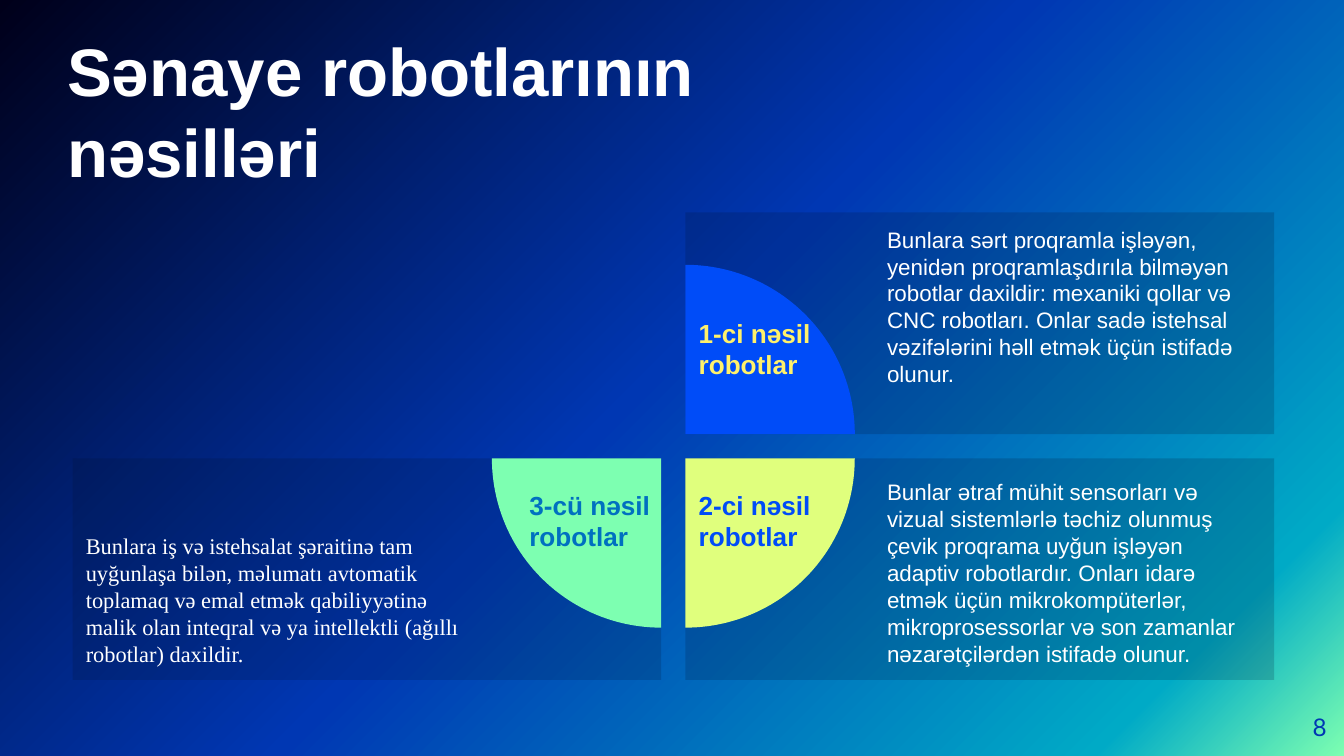
from lxml import etree
from pptx import Presentation
from pptx.dml.color import RGBColor
from pptx.enum import shapes, text
from pptx.oxml import parse_xml
from pptx.oxml.ns import nsdecls, qn
from pptx.util import Inches, Pt

WHITE = RGBColor(0xFF, 0xFF, 0xFF)
NAVY = RGBColor(0x00, 0x12, 0x30)
ROYAL = RGBColor(0x00, 0x37, 0xB3)
BLUE = RGBColor(0x00, 0x4C, 0xF8)
SKY = RGBColor(0x00, 0x70, 0xC0)
LIME = RGBColor(0xE0, 0xFF, 0x7D)
MINT = RGBColor(0x7D, 0xFF, 0xB1)
YELLOW = RGBColor(0xFF, 0xF1, 0x6B)
TEAL = RGBColor(0x00, 0xAA, 0xC6)
MIDNIGHT = RGBColor(0x00, 0x00, 0x1A)

TOP, BOTTOM = text.MSO_ANCHOR.TOP, text.MSO_ANCHOR.BOTTOM

# Content
TITLE = "Sənaye robotlarının nəsilləri"
PAGE_NUMBER = "8"
BACKGROUND = [(0, MINT), (12, TEAL), (51, ROYAL), (100, MIDNIGHT)]
GENERATIONS = [
    dict(label="1-ci nəsil robotlar", ink=YELLOW, fill=BLUE, col=1, row=0, turn=90,
         label_at=(5.1, 2.26), font="Arial", anchor=TOP,
         body="Bunlara sərt proqramla işləyən, yenidən proqramlaşdırıla bilməyən "
              "robotlar daxildir: mexaniki qollar və CNC robotları. Onlar sadə "
              "istehsal vəzifələrini həll etmək üçün istifadə olunur."),
    dict(label="2-ci nəsil robotlar", ink=BLUE, fill=LIME, col=1, row=1, turn=180,
         label_at=(5.1, 3.54), font="Arial", anchor=BOTTOM,
         body="Bunlar ətraf mühit sensorları və vizual sistemlərlə təchiz olunmuş "
              "çevik proqrama uyğun işləyən adaptiv robotlardır. Onları idarə etmək "
              "üçün mikrokompüterlər, mikroprosessorlar və son zamanlar "
              "nəzarətçilərdən istifadə olunur."),
    dict(label="3-cü nəsil robotlar", ink=SKY, fill=MINT, col=0, row=1, turn=270,
         label_at=(3.84, 3.54), font="Times New Roman", anchor=BOTTOM,
         body="Bunlara iş və istehsalat şəraitinə tam uyğunlaşa bilən, məlumatı "
              "avtomatik toplamaq və emal etmək qabiliyyətinə malik olan inteqral "
              "və ya intellektli (ağıllı robotlar) daxildir."),
]

# Panel grid: the pie quarters meet around the gap between the panels
LEFT, UPPER = 0.54, 1.58
PANEL_W, PANEL_H, GAP = 4.38, 1.65, 0.18
RADIUS = 1.26
PAD, PIE_PAD = 0.1, 1.5


def write(shape, words, size, color, font="Arial", bold=False, anchor=TOP,
          align=text.PP_ALIGN.LEFT, insets=(0, 0, 0, 0), after=0):
    frame = shape.text_frame
    frame.word_wrap = True
    frame.vertical_anchor = anchor
    (frame.margin_left, frame.margin_top,
     frame.margin_right, frame.margin_bottom) = map(Inches, insets)
    para = frame.paragraphs[0]
    para.alignment = align
    para.space_after = Pt(after)
    span = para.add_run()
    span.text = words
    span.font.name, span.font.size, span.font.bold = font, Pt(size), bold
    span.font.color.rgb = color


def add_textbox(page, *place):
    return page.shapes.add_textbox(*map(Inches, place))


def add_filled(page, kind, place, color):
    shape = page.shapes.add_shape(kind, *map(Inches, place))
    shape.shadow.inherit = False
    shape.fill.solid()
    shape.fill.fore_color.rgb = color
    shape.line.fill.background()
    return shape


def set_background(page):
    stops = "".join(f'<a:gs pos="{pos * 1000}"><a:srgbClr val="{color}"/></a:gs>'
                    for pos, color in BACKGROUND)
    page.background.fill.solid()
    props = page.background._cSld.bg.bgPr
    gradient = parse_xml(f'<a:gradFill {nsdecls("a")} rotWithShape="1">'
                         f'<a:gsLst>{stops}</a:gsLst>'
                         f'<a:lin ang="{225 * 60000}" scaled="0"/></a:gradFill>')
    props.replace(props.find(qn("a:solidFill")), gradient)


def add_panel(page, item):
    left = LEFT + item["col"] * (PANEL_W + GAP)
    top = UPPER + item["row"] * (PANEL_H + GAP)
    panel = add_filled(page, shapes.MSO_SHAPE.RECTANGLE,
                       (left, top, PANEL_W, PANEL_H), NAVY)
    color = panel.fill._xPr.find(qn("a:solidFill"))[0]
    etree.SubElement(color, qn("a:alpha")).set("val", "19000")
    pads = (PIE_PAD, PAD, PAD, PAD) if item["col"] else (PAD, PAD, PIE_PAD, PAD)
    write(panel, item["body"], 12, WHITE, item["font"], anchor=item["anchor"],
          insets=pads, after=6)


def add_quarter(page, item):
    # Centre is the panel corner nearest the middle of the grid
    x = LEFT + PANEL_W + item["col"] * GAP
    y = UPPER + PANEL_H + item["row"] * GAP
    quarter = add_filled(page, shapes.MSO_SHAPE.PIE,
                         (x - RADIUS, y - RADIUS, 2 * RADIUS, 2 * RADIUS), item["fill"])
    quarter.adjustments[0] = 180 * 0.6
    quarter.adjustments[1] = 270 * 0.6
    quarter.rotation = item["turn"]


def add_label(page, item):
    box = add_textbox(page, *item["label_at"], RADIUS, 0.67)
    write(box, item["label"], 14, item["ink"], bold=True, insets=(PAD,) * 4)
    box.text_frame.auto_size = text.MSO_AUTO_SIZE.SHAPE_TO_FIT_TEXT


def main():
    deck = Presentation()
    deck.slide_width = Inches(10)
    deck.slide_height = Inches(10 * 9 / 16)
    page = deck.slides.add_slide(deck.slide_layouts[6])
    set_background(page)

    # Title and page number
    write(add_textbox(page, 0.5, 0.48, 6.59, 0.94), TITLE, 36, WHITE,
          bold=True, anchor=BOTTOM)
    write(add_textbox(page, 9.27, 5.19, 0.6, 0.43), PAGE_NUMBER, 13, ROYAL, "Lato",
          anchor=text.MSO_ANCHOR.MIDDLE, align=text.PP_ALIGN.RIGHT)

    # Panels, then pie quarters, then labels on top
    for add_part in (add_panel, add_quarter, add_label):
        for item in GENERATIONS:
            add_part(page, item)

    deck.save("out.pptx")


if __name__ == "__main__":
    main()
